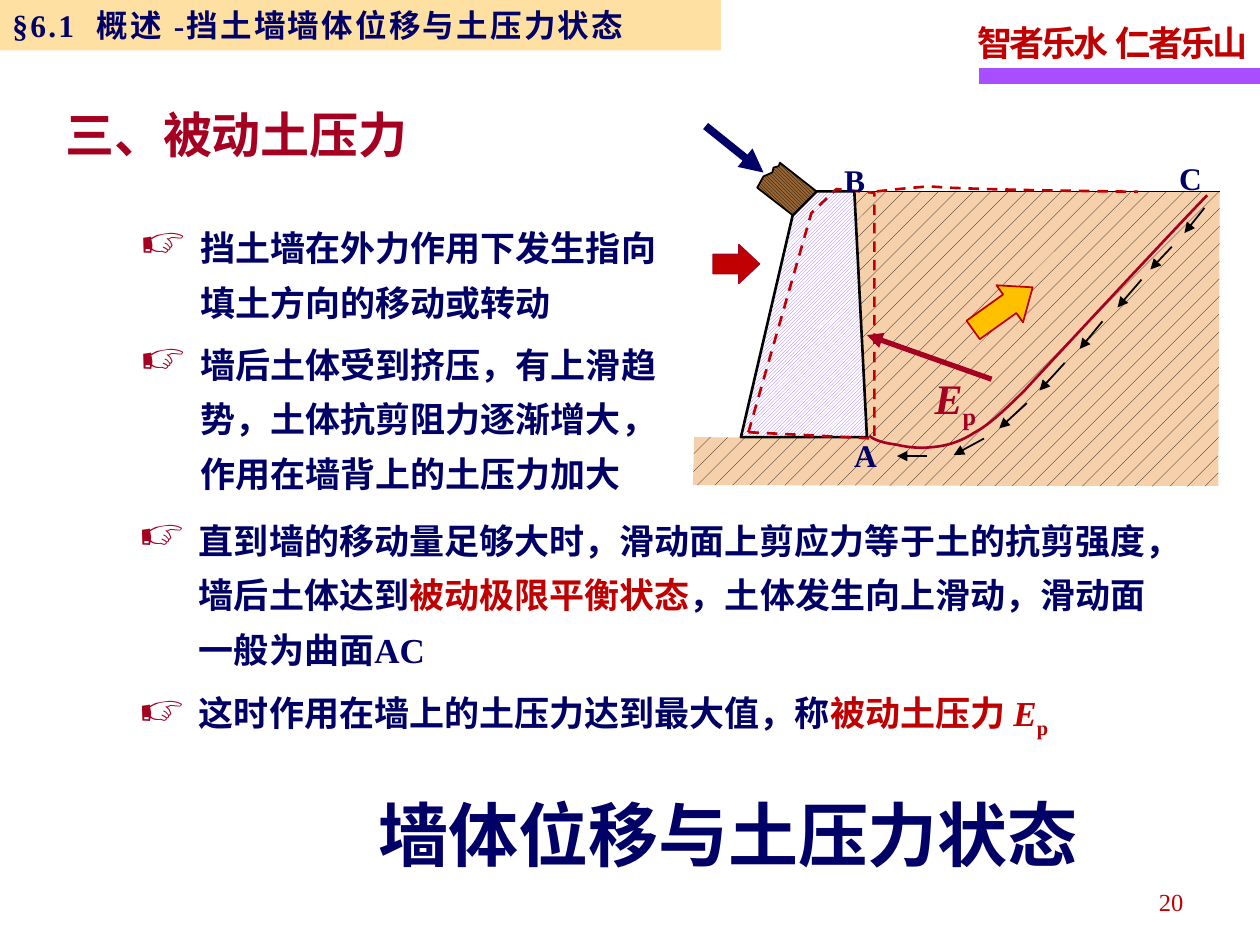
from pptx import Presentation
from pptx.dml.color import RGBColor
from pptx.enum.dml import MSO_LINE, MSO_PATTERN
from pptx.enum.shapes import MSO_CONNECTOR, MSO_SHAPE
from pptx.enum.text import MSO_ANCHOR, PP_ALIGN
from pptx.oxml.ns import qn
from pptx.util import Pt
from lxml.etree import SubElement

NAVY, RED, WINE, BLACK = "000066", "C00000", "A50021", "000000"
TIMES, NOTO = "Times New Roman", "Noto Sans CJK SC"
BASE = {"name": TIMES, "size": Pt(20), "bold": True}


def hue(code):
    """Turn a hex string into a colour."""
    return RGBColor.from_string(code)


def put(item, values):
    """Set every attribute named in a dict."""
    for name, value in values.items():
        setattr(item, name, value)


def ink(line, color, width, dash=None):
    """Style an outline."""
    line.color.rgb = hue(color)
    put(line, {"width": Pt(width), "dash_style": dash})


def hatch(shape, kind, front, back):
    """Fill a shape with a two-colour pattern."""
    shape.fill.patterned()
    shape.fill.pattern = kind
    shape.fill.fore_color.rgb = hue(front)
    shape.fill.back_color.rgb = hue(back)


def solid(slide, kind, box, fill, edge=None, width=1):
    """Add a preset shape with a plain fill."""
    shape = slide.shapes.add_shape(kind, *map(Pt, box))
    shape.shadow.inherit = False
    shape.fill.solid()
    shape.fill.fore_color.rgb = hue(fill)
    if edge:
        ink(shape.line, edge, width)
    else:
        shape.line.fill.background()
    return shape


def outline(slide, points, edge=None, width=1, dash=None, close=True):
    """Add a freeform through the given points."""
    spots = [(Pt(x), Pt(y)) for x, y in points]
    form = slide.shapes.build_freeform(*spots[0])
    form.add_line_segments(spots[1:], close=close)
    shape = form.convert_to_shape()
    shape.shadow.inherit = False
    shape.fill.background()
    if edge:
        ink(shape.line, edge, width, dash)
    else:
        shape.line.fill.background()
    return shape


def bend(start, curves, steps=12):
    """Sample a chain of cubic curves as points."""
    points = [start]
    for b, c, d in curves:
        a = points[-1]
        for i in range(1, steps + 1):
            t = i / steps
            u = 1 - t
            points.append(tuple(
                u**3 * p + 3 * u * u * t * q + 3 * u * t * t * r + t**3 * s
                for p, q, r, s in zip(a, b, c, d)))
    return points


def stroke(slide, start, end, color, width, tip=None):
    """Add a straight line, with an arrowhead at the end named by tip."""
    line = slide.shapes.add_connector(MSO_CONNECTOR.STRAIGHT, *map(Pt, start + end))
    ink(line.line, color, width)
    if tip:
        SubElement(line.line._get_or_add_ln(), qn("a:" + tip), type="triangle")
    SubElement(line._element.spPr, qn("a:effectLst"))


def write(para, runs):
    """Add runs of text, each with its colour and changed values."""
    for text, color, marks, extra in runs:
        run = para.add_run()
        run.text = text
        put(run.font, BASE | marks)
        run.font.color.rgb = hue(color)
        props = run._r.get_or_add_rPr()
        SubElement(props, qn("a:ea"), typeface=NOTO)
        for name, value in extra.items():
            props.set(name, value)


def label(slide, box, runs, wrap=True, **form):
    """Add a one-paragraph text box."""
    frame = slide.shapes.add_textbox(*map(Pt, box)).text_frame
    frame.word_wrap = wrap
    put(frame.paragraphs[0], form)
    write(frame.paragraphs[0], runs)


def points(slide, box, items):
    """Add a list with pointing-hand bullets."""
    frame = slide.shapes.add_textbox(*map(Pt, box)).text_frame
    put(frame, {"word_wrap": True, "margin_left": 0, "margin_right": 0,
                "margin_top": 0, "margin_bottom": 0})
    for i, runs in enumerate(items):
        para = frame.add_paragraph() if i else frame.paragraphs[0]
        props = para._p.get_or_add_pPr()
        props.set("marL", str(Pt(34.5)))
        props.set("indent", str(Pt(-34.5)))
        tint = SubElement(props, qn("a:buClr"))
        SubElement(tint, qn("a:srgbClr"), val=WINE)
        SubElement(props, qn("a:buSzPct"), val="130000")
        SubElement(props, qn("a:buChar"), char="☞")
        put(para, {"line_spacing": 1.3, "space_after": Pt(4)})
        write(para, runs)


def banner(slide):
    """Add the section strip and the motto."""
    solid(slide, MSO_SHAPE.RECTANGLE, (559.5, 39, 160.5, 9), "A74FFF")
    label(slide, (551.5, 5, 170, 35.3),
          [("智者乐水  仁者乐山", RED, {}, {"spc": "-170"})], False, line_spacing=1.15)
    strip = solid(slide, MSO_SHAPE.RECTANGLE, (0, 0, 412, 28.8), "FFCC66")
    tint = strip._element.spPr.find(qn("a:solidFill"))[0]
    SubElement(tint, qn("a:alpha"), val="60000")
    put(strip.text_frame, {"vertical_anchor": MSO_ANCHOR.MIDDLE, "word_wrap": True})
    para = strip.text_frame.paragraphs[0]
    para.alignment = PP_ALIGN.LEFT
    write(para, [("§6.1  概述 -挡土墙墙体位移与土压力状态", NAVY, {"size": Pt(18)}, {"spc": "130"})])


def wall(slide):
    """Draw the soil, the wall and its moved position."""
    soil = outline(slide, [(396.7, 249.8), (485.3, 250.6), (486.7, 109.4),
                           (697, 109.4), (696.2, 278), (396, 277.2)])
    hatch(soil, MSO_PATTERN.PERCENT_5, BLACK, "F5D0AB")
    body = outline(slide, [(423.4, 249.8), (495.4, 249.8), (488.2, 109.4),
                           (466.6, 109.4), (453, 123)], BLACK, 1.5)
    hatch(body, MSO_PATTERN.DARK_UPWARD_DIAGONAL, "9966FF", "FFFFFF")
    stroke(slide, (488.2, 109.4), (697, 109.4), BLACK, 1)
    block = outline(slide, [(432.7, 107.3), (453, 123), (466.6, 109.4), (445.7, 93), (445, 95),
                            (442, 95.8), (441.4, 98.6), (436.3, 100.8)], BLACK)
    hatch(block, MSO_PATTERN.LIGHT_DOWNWARD_DIAGONAL, BLACK, "996633")
    outline(slide, [(427.7, 247), (499.7, 250.6), (499.7, 110.2), (478, 108),
                    (463.7, 121.7)], RED, 1.5, MSO_LINE.DASH)
    outline(slide, [(501, 109.4), (514, 108), (521.3, 107.3), (530.6, 106.5), (543, 107.3),
                    (561.6, 108), (591, 108.7), (634.3, 109.4), (650.2, 109.6)],
            RED, 1.5, MSO_LINE.DASH, False)


def force(slide):
    """Draw the slip curve, the forces and the letters."""
    stroke(slide, (403.2, 72), (436.3, 98.6), NAVY, 4.5, "tailEnd")
    stroke(slide, (566.6, 216.7), (495.4, 191.5), WINE, 3, "tailEnd")
    push = solid(slide, MSO_SHAPE.RIGHT_ARROW, (407.5, 139.7, 26.6, 22.3), RED, WINE, 0.75)
    push.adjustments[1] = 0.53
    slide_up = solid(slide, MSO_SHAPE.RIGHT_ARROW, (552.2, 163.4, 41.8, 26), "FFC000", RED)
    slide_up.rotation = 324.4
    slide_up.adjustments[1] = 0.62
    curve = bend((496.8, 249), [
        ((499.7, 252), (507, 253.4), (512.6, 254.2)),
        ((518.4, 255.6), (525.6, 256.3), (532, 255.6)),
        ((539.3, 255), (546.5, 253.4), (555, 248.4)),
        ((560.2, 244.8), (563, 245.5), (585.4, 223.2)),
        ((604, 203), (670.3, 131.8), (689.8, 111.6))])
    outline(slide, curve, WINE, 1.5, close=False)
    shear = [((571, 244.8), (586.8, 230.4)), ((594, 223.2), (608.4, 207.4)),
             ((617, 199.4), (630, 183.6)), ((638.6, 175.7), (652.3, 159.8)),
             ((657.4, 154), (669.6, 141)), ((676.8, 133.2), (688.3, 118.8)),
             ((545, 260), (562.3, 250.6)), ((512.6, 260.6), (530, 260.6))]
    for start, end in shear:
        stroke(slide, start, end, BLACK, 1, "headEnd")
    for text, x, y in (("A", 481, 242.6), ("B", 475.2, 85), ("C", 666.7, 84.2)):
        label(slide, (x, y, 27.4, 30.2), [(text, NAVY, {"size": Pt(18)}, {})],
              False, line_spacing=1.15)
    big = {"size": Pt(24)}
    label(slide, (527, 204.5, 39.6, 41),
          [("E", WINE, big | {"italic": True}, {}), ("p", WINE, big, {"baseline": "-25000"})],
          line_spacing=1.15)


def prose(slide):
    """Add the headings, the two lists and the page number."""
    label(slide, (30.2, 56.2, 348.5, 41), [("三、被动土压力", WINE, {"name": NOTO, "size": Pt(28)}, {})])
    points(slide, (80, 122.4, 306, 161.3), [
        [("挡土墙在外力作用下发生指向填土方向的移动或转动", NAVY, {}, {})],
        [("墙后土体受到挤压，有上滑趋势，土体抗剪阻力逐渐增大，作用在墙背上的土压力加大", NAVY, {}, {})]])
    points(slide, (79.2, 289.4, 587.5, 130.3), [
        [("直到墙的移动量足够大时，滑动面上剪应力等于土的抗剪强度，墙后土体达到", NAVY, {}, {}),
         ("被动极限平衡状态", RED, {"name": NOTO}, {}),
         ("，土体发生向上滑动，滑动面一般为曲面AC", NAVY, {}, {})],
        [("这时作用在墙上的土压力达到最大值，称", NAVY, {}, {}),
         ("被动土压力 ", RED, {}, {}),
         ("E", RED, {"italic": True}, {}), ("p", RED, {}, {"baseline": "-25000"})]])
    label(slide, (145.4, 448.6, 541.4, 55.4),
          [("墙体位移与土压力状态", NAVY, {"name": NOTO, "size": Pt(40)}, {})],
          alignment=PP_ALIGN.CENTER)
    label(slide, (515.5, 501, 167.8, 28.8), [("20", RED, {"size": Pt(14), "bold": False}, {})],
          alignment=PP_ALIGN.RIGHT, line_spacing=1.15)


def main():
    """Build the slide and save it."""
    deck = Presentation()
    put(deck, {"slide_width": Pt(720), "slide_height": Pt(540)})
    slide = deck.slides.add_slide(deck.slide_layouts[6])
    for part in (banner, wall, force, prose):
        part(slide)
    deck.save("out.pptx")


if __name__ == "__main__":
    main()
